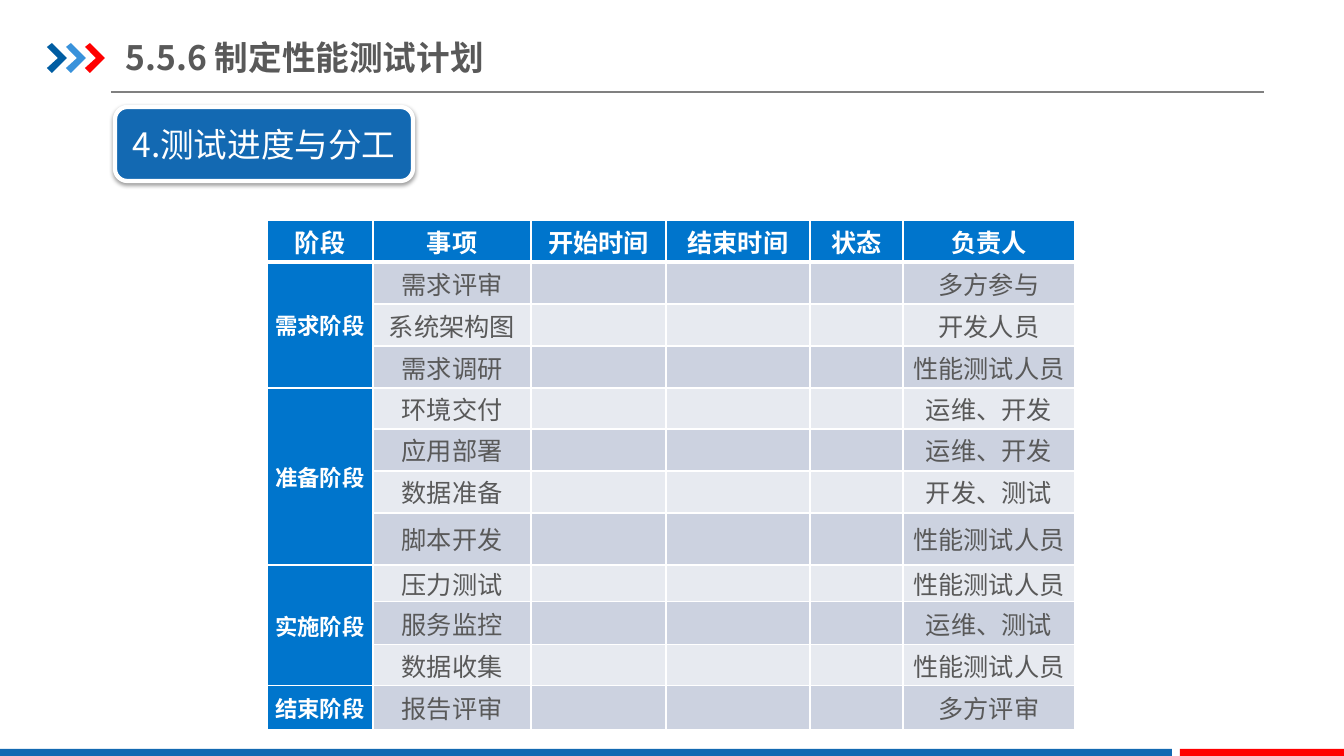
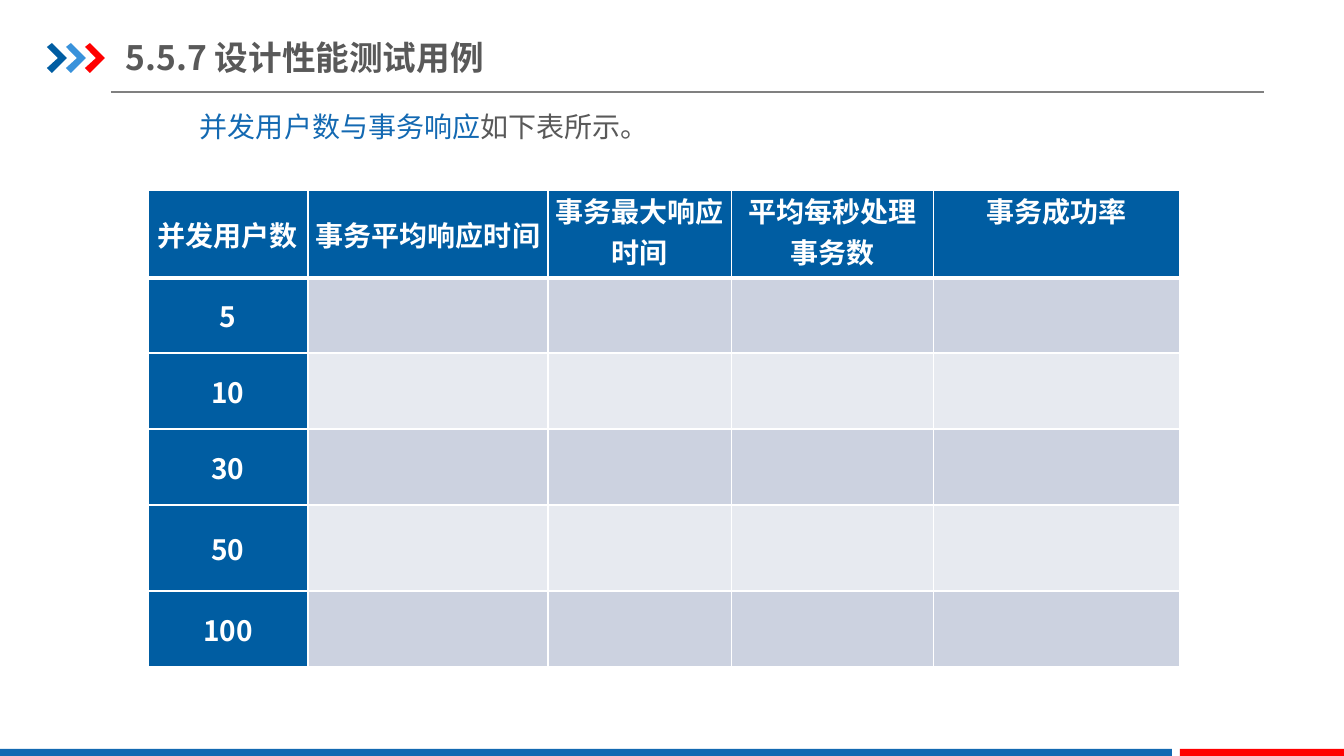
from dataclasses import dataclass
from itertools import accumulate

from lxml import etree
from pptx import Presentation
from pptx import util as u
from pptx.dml import color as c
from pptx.enum import shapes, text
from pptx.oxml import ns

SLIDE_WIDTH, SLIDE_HEIGHT = 1344, 756
SCALE = 12192000 / SLIDE_WIDTH


@dataclass(frozen=True)
class Theme:
    font: str = "Noto Sans CJK SC"
    blue: str = "1369B2"
    deep_blue: str = "005DA2"
    light_blue: str = "3992DB"
    table_blue: str = "0075CC"
    red: str = "FF0000"
    white: str = "FFFFFF"
    grey: str = "808080"
    ink: str = "595959"
    bands: tuple = ("CCD2E0", "E7EAF0")
    title: int = 24
    body: int = 20
    cell: int = 18
    phase: int = 16


THEME = Theme()
MIDDLE, TOP = text.MSO_ANCHOR.MIDDLE, text.MSO_ANCHOR.TOP
LEFT, CENTER = text.PP_ALIGN.LEFT, text.PP_ALIGN.CENTER

SCHEDULE_HEADINGS = ["阶段", "事项", "开始时间", "结束时间", "状态", "负责人"]
SCHEDULE_COLUMNS = [106, 158, 135, 144, 93, 172]
SCHEDULE_ROWS = [42, 42, 42, 42, 41, 42, 42, 52, 37, 43, 41, 44]
PHASES = {
    "需求阶段": [("需求评审", "多方参与"), ("系统架构图", "开发人员"),
             ("需求调研", "性能测试人员")],
    "准备阶段": [("环境交付", "运维、开发"), ("应用部署", "运维、开发"),
             ("数据准备", "开发、测试"), ("脚本开发", "性能测试人员")],
    "实施阶段": [("压力测试", "性能测试人员"), ("服务监控", "运维、测试"),
             ("数据收集", "性能测试人员")],
    "结束阶段": [("报告评审", "多方评审")],
}

RESPONSE_HEADINGS = ["并发用户数", "事务平均响应时间", "事务最大响应时间",
                     "平均每秒处理事务数", "事务成功率"]
RESPONSE_COLUMNS = [160, 240, 184, 202, 246]
RESPONSE_ROWS = [88, 75, 76, 76, 86, 76]
USER_COUNTS = ["5", "10", "30", "50", "100"]


def px(length):
    return u.Emu(round(length * SCALE))


def rgb(value):
    return c.RGBColor.from_string(value)


def apply(target, values):
    for name, value in values.items():
        setattr(target, name, value)


def add_child(parent, tag, **attributes):
    return etree.SubElement(parent, ns.qn(tag), attributes)


def write(frame, spans, size, bold=False, align=LEFT):
    para = frame.paragraphs[0]
    para.alignment = align
    for words, color in spans:
        span = para.add_run()
        span.text = words
        apply(span.font, {"size": u.Pt(size), "bold": bold, "name": THEME.font})
        span.font.color.rgb = rgb(color)
        add_child(span.font._element, "a:ea", typeface=THEME.font)


def paint(shape, fill, line=None, width=0):
    shape.fill.solid()
    shape.fill.fore_color.rgb = rgb(fill)
    if line:
        shape.line.color.rgb = rgb(line)
        shape.line.width = u.Pt(width)
    else:
        shape.line.fill.background()
    shape.shadow.inherit = False


def add_box(slide, kind, bounds, fill, line=None, width=0):
    box = slide.shapes.add_shape(kind, *map(px, bounds))
    paint(box, fill, line, width)
    return box


def add_text(slide, bounds, spans, size, bold=False, **frame_values):
    box = slide.shapes.add_textbox(*map(px, bounds))
    apply(box.text_frame, {"word_wrap": True, **frame_values})
    write(box.text_frame, spans, size, bold)


def add_rule(slide, start, end):
    rule = slide.shapes.add_connector(
        shapes.MSO_CONNECTOR.STRAIGHT, *map(px, start + end))
    rule.line.color.rgb = rgb(THEME.grey)
    rule.line.width = u.Pt(0.75)
    add_child(rule._element.spPr, "a:effectLst")


def add_chevrons(slide):
    outline = [(0, 4), (5, 0), (20, 15), (5, 30), (0, 25), (11, 15)]
    group = slide.shapes.add_group_shape()
    for index, color in enumerate([THEME.deep_blue, THEME.light_blue, THEME.red]):
        points = [(47 + 19 * index + x, 43 + y) for x, y in outline]
        builder = group.shapes.build_freeform(*points[0], scale=SCALE)
        builder.add_line_segments(points[1:], close=True)
        paint(builder.convert_to_shape(), color)


def add_content_slide(deck, title):
    slide = deck.slides.add_slide(deck.slide_layouts[6])
    add_rule(slide, (111, 92), (1264, 92))
    add_chevrons(slide)
    for left, right, color in [(0, 1172, THEME.blue),
                               (1180, SLIDE_WIDTH, THEME.red)]:
        add_box(slide, shapes.MSO_SHAPE.RECTANGLE,
                (left, 749, right - left, SLIDE_HEIGHT - 749), color)
    add_text(slide, (126, 30, 934, 55), [(title, THEME.ink)], THEME.title, True,
             vertical_anchor=MIDDLE, margin_left=0, margin_right=0,
             margin_top=px(7), margin_bottom=px(7))
    return slide


def add_badge(slide, bounds, words):
    badge = add_box(slide, shapes.MSO_SHAPE.ROUNDED_RECTANGLE, bounds,
                    THEME.blue, THEME.white, 3)
    effects = badge._element.spPr.find(ns.qn("a:effectLst"))
    shadow = add_child(effects, "a:outerShdw", blurRad="40000", dist="20000",
                       dir="5400000", rotWithShape="0")
    shade = add_child(shadow, "a:srgbClr", val="000000")
    add_child(shade, "a:alpha", val="38000")
    apply(badge.text_frame, {"word_wrap": False, "vertical_anchor": MIDDLE,
                             "margin_left": 0, "margin_right": 0})
    write(badge.text_frame, [(words, THEME.white)], THEME.title, align=CENTER)


def add_borders(cell, top, bottom):
    properties = cell._tc.get_or_add_tcPr()
    widths = {"a:lnL": 1, "a:lnR": 1, "a:lnT": top, "a:lnB": bottom}
    for index, (tag, width) in enumerate(widths.items()):
        line = etree.Element(ns.qn(tag), w=str(u.Pt(width)))
        add_child(add_child(line, "a:solidFill"), "a:srgbClr", val=THEME.white)
        properties.insert(index, line)


def add_grid(slide, left, top, columns, rows, head_color):
    table = slide.shapes.add_table(
        len(rows), len(columns),
        *map(px, (left, top, sum(columns), sum(rows)))).table
    table.horz_banding = False
    for column, width in zip(table.columns, columns):
        column.width = px(width)
    for row, (line, height) in enumerate(zip(table.rows, rows)):
        line.height = px(height)
        for column, cell in enumerate(line.cells):
            is_head = row == 0 or column == 0
            cell.fill.solid()
            cell.fill.fore_color.rgb = rgb(
                head_color if is_head else THEME.bands[(row - 1) % 2])
            apply(cell, {"margin_left": px(7), "margin_right": px(7),
                         "margin_top": 0, "margin_bottom": 0,
                         "vertical_anchor": MIDDLE})
            add_borders(cell, 3 if row == 1 else 1, 3 if row == 0 else 1)
    return table


def fill_cell(cell, words, size, color=THEME.white, bold=True):
    write(cell.text_frame, [(words, color)], size, bold, CENTER)


def add_schedule(slide):
    table = add_grid(slide, 267, 220, SCHEDULE_COLUMNS, SCHEDULE_ROWS,
                     THEME.table_blue)
    for column, heading in enumerate(SCHEDULE_HEADINGS):
        fill_cell(table.cell(0, column), heading, THEME.cell)
    starts = accumulate(map(len, PHASES.values()), initial=1)
    for start, (phase, tasks) in zip(starts, PHASES.items()):
        head = table.cell(start, 0)
        if len(tasks) > 1:
            head.merge(table.cell(start + len(tasks) - 1, 0))
        fill_cell(head, phase, THEME.phase)
        for row, (task, owner) in enumerate(tasks, start):
            for column, words in [(1, task), (5, owner)]:
                fill_cell(table.cell(row, column), words, THEME.cell,
                          THEME.ink, False)


def add_responses(slide):
    table = add_grid(slide, 148, 190, RESPONSE_COLUMNS, RESPONSE_ROWS,
                     THEME.deep_blue)
    for column, heading in enumerate(RESPONSE_HEADINGS):
        cell = table.cell(0, column)
        cell.vertical_anchor = MIDDLE if column < 2 else TOP
        fill_cell(cell, heading, THEME.body)
    for row, count in enumerate(USER_COUNTS, 1):
        fill_cell(table.cell(row, 0), count, THEME.body)


def main():
    deck = Presentation()
    apply(deck, {"slide_width": px(SLIDE_WIDTH), "slide_height": px(SLIDE_HEIGHT)})

    plan = add_content_slide(deck, "5.5.6 制定性能测试计划")
    add_schedule(plan)
    add_badge(plan, (115, 107, 298, 74), "4.测试进度与分工")

    cases = add_content_slide(deck, "5.5.7 设计性能测试用例")
    add_text(cases, (190, 105, 890, 44),
             [("并发用户数与事务响应", THEME.blue), ("如下表所示。", THEME.ink)],
             THEME.body, auto_size=text.MSO_AUTO_SIZE.SHAPE_TO_FIT_TEXT)
    add_responses(cases)

    deck.save("out.pptx")


if __name__ == "__main__":
    main()
